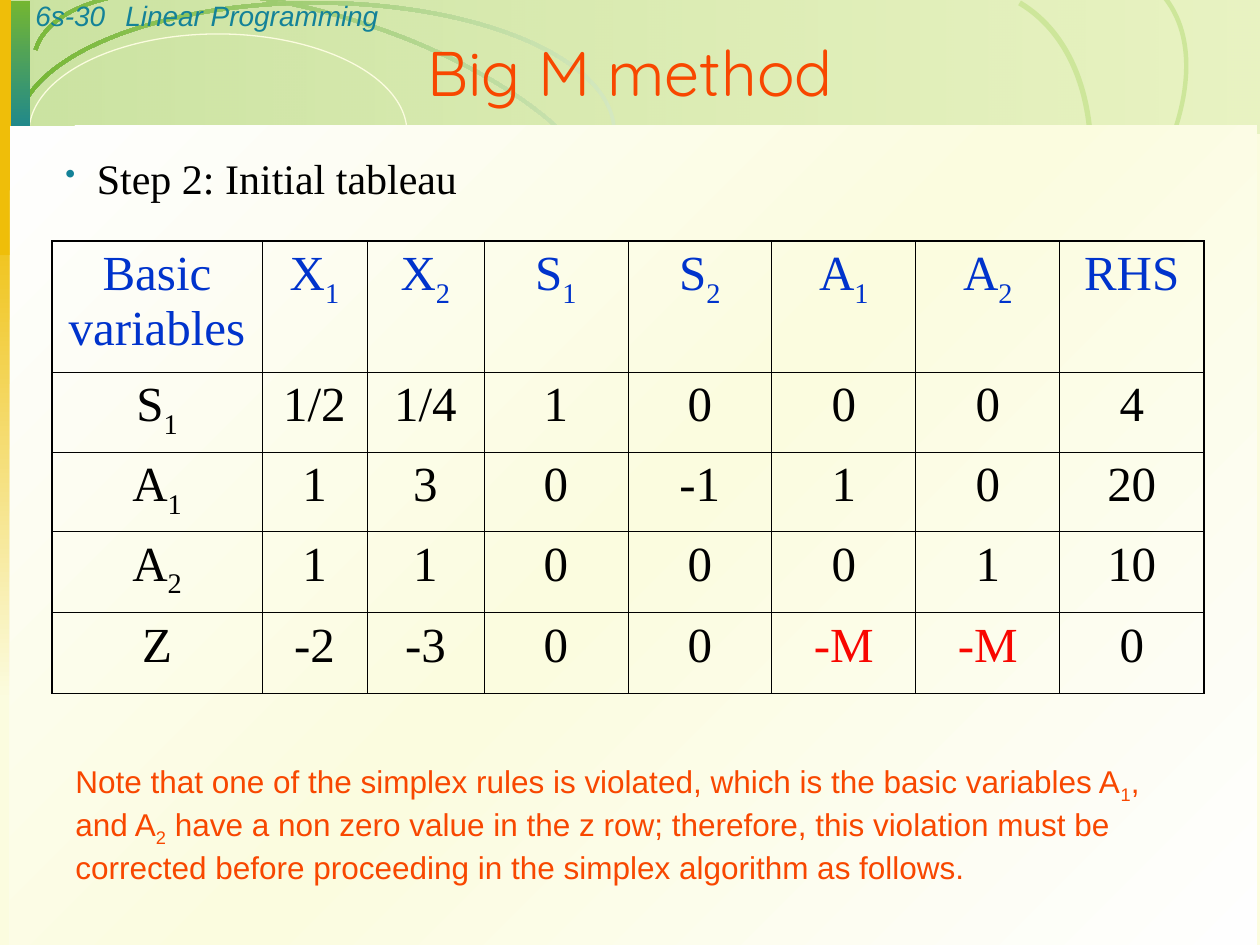
from lxml.etree import SubElement
from pptx import Presentation
from pptx.dml.color import RGBColor
from pptx.enum.shapes import MSO_SHAPE
from pptx.enum.text import MSO_ANCHOR, PP_ALIGN
from pptx.oxml.ns import qn
from pptx.util import Emu, Pt

EMU_PER_PX = 914400 / 126
CREAM = RGBColor(0xFB, 0xFC, 0xDF)
NEAR_WHITE = RGBColor(0xFE, 0xFE, 0xFE)
GREEN = RGBColor(0x74, 0xB6, 0x32)
LIME = RGBColor(0xBC, 0xDD, 0x7B)
PALE_GREEN = RGBColor(0xD4, 0xE8, 0xC0)
PALE_LIME = RGBColor(0xCD, 0xE6, 0x9A)
TEAL = RGBColor(0x14, 0x82, 0x98)
GOLD = RGBColor(0xEF, 0xBE, 0x09)
ORANGE = RGBColor(0xF8, 0x47, 0x00)
BLUE = RGBColor(0x00, 0x33, 0xCC)
RED = RGBColor(0xF8, 0x06, 0x00)
BLACK = RGBColor(0, 0, 0)

COLUMN_WIDTHS = [210, 105, 117] + [144] * 5
ROW_HEIGHTS = [131, 80, 79, 81, 81]
TABLEAU = [
    ["Basic variables", "X_1", "X_2", "S_1", "S_2", "A_1", "A_2", "RHS"],
    ["S_1", "1/2", "1/4", "1", "0", "0", "0", "4"],
    ["A_1", "1", "3", "0", "-1", "1", "0", "20"],
    ["A_2", "1", "1", "0", "0", "0", "1", "10"],
    ["Z", "-2", "-3", "0", "0", "-M", "-M", "0"],
]
NOTE = (
    "Note that one of the simplex rules is violated, which is the basic variables A_1, "
    "and A_2 have a non zero value in the z row; therefore, this violation must be "
    "corrected before proceeding in the simplex algorithm as follows."
)


def px(length):
    return Emu(round(length * EMU_PER_PX))


def add_color(parent, color, opacity=100):
    node = SubElement(parent, qn("a:srgbClr"), val=str(color))
    if opacity < 100:
        SubElement(node, qn("a:alpha"), val=str(opacity * 1000))


def add_panel(slide, preset, box, rotation=0):
    panel = slide.shapes.add_shape(preset, *map(px, box))
    panel.shadow.inherit = False
    panel.line.fill.background()
    panel.rotation = rotation
    return panel


def fill_gradient(panel, angle, stops):
    panel.fill.gradient()
    panel.fill.gradient_angle = 360 - angle
    stop_list = panel.fill._xPr.find(qn("a:gradFill")).find(qn("a:gsLst"))
    for default_stop in list(stop_list):
        stop_list.remove(default_stop)
    for position, color, opacity in stops:
        stop = SubElement(stop_list, qn("a:gs"), pos=str(position * 1000))
        add_color(stop, color, opacity)


def add_gradient_bar(slide, box, angle, stops):
    bar = add_panel(slide, MSO_SHAPE.RECTANGLE, box)
    fill_gradient(bar, angle, stops)


def add_arc(slide, box, rotation=0, gradient_angle=None):
    arc = add_panel(slide, MSO_SHAPE.BLOCK_ARC, box, rotation)
    for index, value in enumerate((108, 0, 0.014)):
        arc.adjustments[index] = value
    if gradient_angle is None:
        arc.fill.solid()
        arc.fill.fore_color.rgb = PALE_LIME
        arc._element.spPr.find(qn("a:xfrm")).set("flipV", "1")
    else:
        fill_gradient(arc, gradient_angle, [(0, PALE_GREEN, 100), (100, GREEN, 100)])


def add_run(paragraph, text, subscript=False):
    if text:
        run = paragraph.add_run()
        run.text = text
        if subscript:
            run.font._element.set("baseline", "-25000")


def write(paragraph, text, font, size, color, before=0, align=PP_ALIGN.LEFT, italic=False):
    paragraph.alignment = align
    paragraph.space_before = Pt(before)
    paragraph.font.name = font
    paragraph.font.size = Pt(size)
    paragraph.font.color.rgb = color
    paragraph.font.italic = italic
    plain, *marked = text.split("_")
    add_run(paragraph, plain)
    for part in marked:
        add_run(paragraph, part[0], subscript=True)
        add_run(paragraph, part[1:])


def add_text(slide, box, text, font, size, color, anchor=MSO_ANCHOR.TOP, **style):
    frame = slide.shapes.add_textbox(*map(px, box)).text_frame
    frame.word_wrap = True
    frame.vertical_anchor = anchor
    write(frame.paragraphs[0], text, font, size, color, **style)
    return frame.paragraphs[0]


def add_bullet(paragraph):
    properties = paragraph._p.get_or_add_pPr()
    properties.set("marL", "228600")
    properties.set("indent", "-228600")
    bullet_color = SubElement(properties, qn("a:buClr"))
    add_color(bullet_color, TEAL)
    bullet_size = SubElement(properties, qn("a:buSzPct"), val="70000")
    bullet_mark = SubElement(properties, qn("a:buChar"), char="•")
    defaults = properties.find(qn("a:defRPr"))
    for node in (bullet_color, bullet_size, bullet_mark):
        defaults.addprevious(node)


def set_borders(cell, outer_edges):
    properties = cell._tc.get_or_add_tcPr()
    for edge in "LRTB":
        width = Pt(1.08 if edge in outer_edges else 0.45)
        border = SubElement(properties, qn(f"a:ln{edge}"), w=str(width))
        add_color(SubElement(border, qn("a:solidFill")), BLACK)


def add_tableau(slide):
    rows, columns = len(ROW_HEIGHTS), len(COLUMN_WIDTHS)
    box = (52, 241, sum(COLUMN_WIDTHS), sum(ROW_HEIGHTS))
    table = slide.shapes.add_table(rows, columns, *map(px, box)).table
    table.first_row = False
    table.horz_banding = False
    for column, width in zip(table.columns, COLUMN_WIDTHS):
        column.width = px(width)
    for r, values in enumerate(TABLEAU):
        table.rows[r].height = px(ROW_HEIGHTS[r])
        for c, value in enumerate(values):
            cell = table.cell(r, c)
            color = BLUE if r == 0 else RED if value == "-M" else BLACK
            write(cell.text_frame.paragraphs[0], value, "Times New Roman", 28, color,
                  before=7, align=PP_ALIGN.CENTER)
            outer = {"L": c == 0, "R": c == columns - 1, "T": r == 0, "B": r == rows - 1}
            set_borders(cell, [edge for edge in outer if outer[edge]])
            cell.fill.background()


def add_backdrop(slide):
    slide.background.fill.solid()
    slide.background.fill.fore_color.rgb = CREAM
    add_gradient_bar(slide, (1, 0, 1260, 134), 180, [(0, LIME, 29), (100, GREEN, 36)])
    add_arc(slide, (20, 14, 601, 251), 17.5, 162)
    ring = add_panel(slide, MSO_SHAPE.OVAL, (29, 34, 378, 197))
    ring.fill.background()
    ring.line.color.rgb = CREAM
    ring.line.width = Pt(0.75)
    add_gradient_bar(slide, (0, 195, 28, 505), 90, [(0, GOLD, 100), (100, CREAM, 100)])
    add_arc(slide, (639, 30, 601, 326), 318.2)
    add_arc(slide, (567, 66, 601, 386), 300.7)
    add_arc(slide, (15, 1, 601, 261), gradient_angle=180)
    add_gradient_bar(slide, (1, 1, 29, 145), 90, [(0, GREEN, 100), (100, TEAL, 100)])
    edge = add_panel(slide, MSO_SHAPE.RECTANGLE, (0, 0, 11, 255))
    edge.fill.solid()
    edge.fill.fore_color.rgb = GOLD
    add_gradient_bar(slide, (10, 126, 1247, 819), 225,
                     [(0, NEAR_WHITE, 100), (50, CREAM, 100), (100, NEAR_WHITE, 100)])


def main():
    deck = Presentation()
    deck.slide_width, deck.slide_height = px(1260), px(945)
    slide = deck.slides.add_slide(deck.slide_layouts[6])
    add_backdrop(slide)
    for left, width, label in ((23, 121, "6s-30"), (113, 1092, "Linear Programming")):
        add_text(slide, (left, -8, width, 47), label, "Arial", 16, TEAL, before=10, italic=True)
    add_text(slide, (0, 8, 1260, 126), "Big M method", "Quicksand", 36, ORANGE,
             anchor=MSO_ANCHOR.MIDDLE, align=PP_ALIGN.CENTER)
    step = add_text(slide, (53, 146, 1176, 64), "Step 2: Initial tableau",
                    "Times New Roman", 24, BLACK, before=6)
    add_bullet(step)
    add_tableau(slide)
    add_text(slide, (63, 756, 1124, 136), NOTE, "Arial", 18, ORANGE, before=11.2)
    deck.save("out.pptx")


if __name__ == "__main__":
    main()
